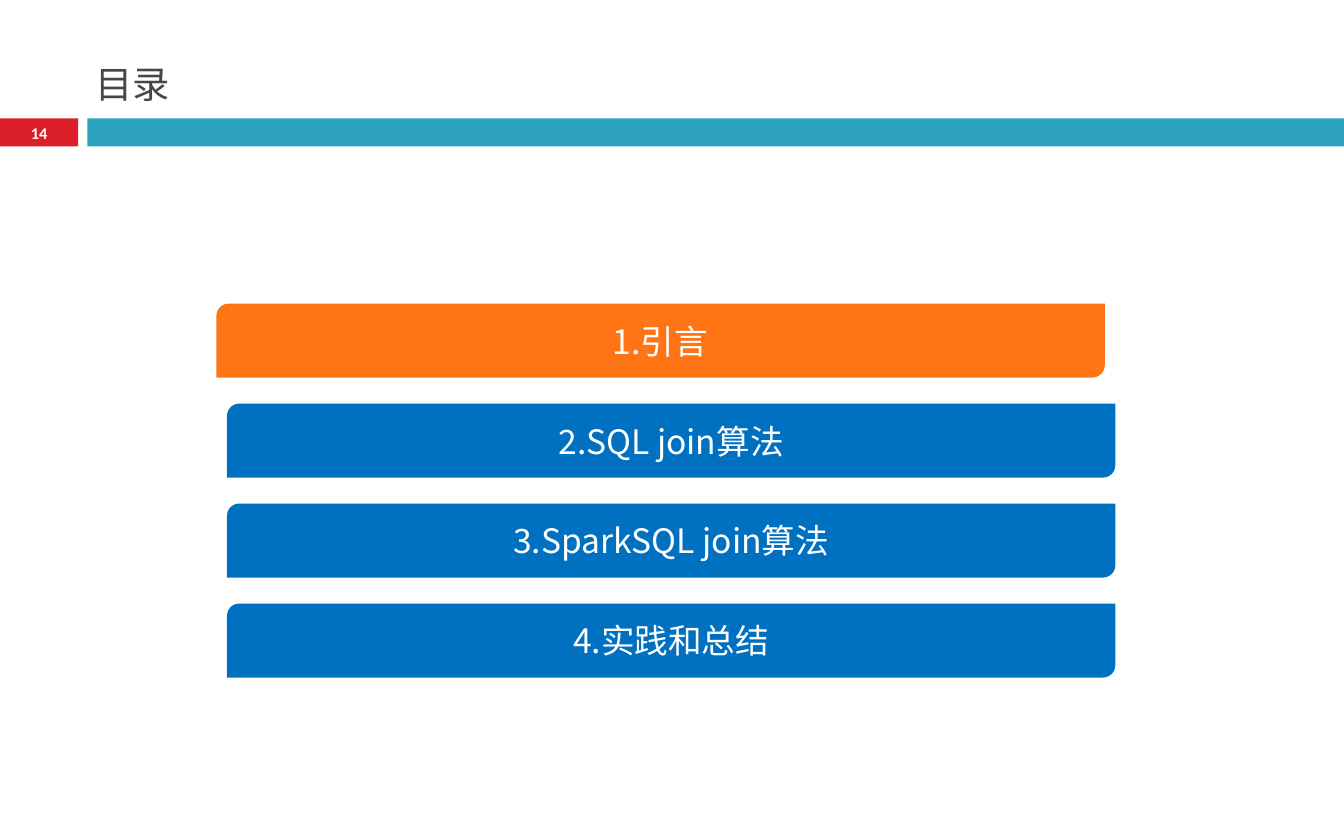
from dataclasses import dataclass

from lxml import etree
from pptx import Presentation
from pptx import util as u
from pptx.dml.color import RGBColor
from pptx.enum import shapes, text
from pptx.oxml import ns

WHITE = RGBColor(0xFF, 0xFF, 0xFF)
RED = RGBColor(0xDA, 0x1F, 0x28)
TEAL = RGBColor(0x2D, 0xA2, 0xBF)
ORANGE = RGBColor(0xFF, 0x74, 0x15)
BLUE = RGBColor(0x00, 0x70, 0xC0)
GREY = RGBColor(0x46, 0x46, 0x46)
CJK_FONT = "Noto Sans CJK SC"

BAND_TOP, BAND_HEIGHT = 2.24, 0.53
CHAPTER_TOP, CHAPTER_PITCH = 5.74, 1.89
CHAPTER_WIDTH, CHAPTER_HEIGHT = 16.79, 1.4


@dataclass(frozen=True)
class Chapter:
    label: str
    left: float = 4.29
    color: RGBColor = BLUE


CHAPTERS = [
    Chapter("1.引言", 4.09, ORANGE),
    Chapter("2.SQL join算法"),
    Chapter("3.SparkSQL join算法"),
    Chapter("4.实践和总结"),
]


def write_text(shape, content: str, *, size: float, color: RGBColor = WHITE,
               font: str = CJK_FONT, bold: bool = False,
               align=text.PP_ALIGN.CENTER,
               anchor=text.MSO_ANCHOR.MIDDLE) -> None:
    frame = shape.text_frame
    frame.word_wrap = True
    frame.vertical_anchor = anchor
    paragraph = frame.paragraphs[0]
    paragraph.alignment = align
    run = paragraph.add_run()
    run.text = content
    run.font.name = font
    run.font.size = u.Pt(size)
    run.font.bold = bold
    run.font.color.rgb = color
    east_asian = etree.SubElement(run.font._element, ns.qn("a:ea"))
    east_asian.set("typeface", font)


def add_block(slide, left: float, top: float, width: float, height: float,
              color: RGBColor, kind=shapes.MSO_SHAPE.RECTANGLE):
    shape = slide.shapes.add_shape(
        kind, u.Cm(left), u.Cm(top), u.Cm(width), u.Cm(height))
    shape.shadow.inherit = False
    shape.fill.solid()
    shape.fill.fore_color.rgb = color
    shape.line.fill.background()
    return shape


def add_chapter(slide, index: int, chapter: Chapter) -> None:
    shape = add_block(slide, chapter.left, CHAPTER_TOP + index * CHAPTER_PITCH,
                      CHAPTER_WIDTH, CHAPTER_HEIGHT, chapter.color,
                      shapes.MSO_SHAPE.ROUND_2_DIAG_RECTANGLE)
    write_text(shape, chapter.label, size=18)


def build() -> None:
    presentation = Presentation()
    presentation.slide_width = u.Cm(25.4)
    presentation.slide_height = u.Cm(15.88)
    slide = presentation.slides.add_slide(presentation.slide_layouts[6])

    number_block = add_block(slide, 0, BAND_TOP, 1.48, BAND_HEIGHT, RED)
    number_block.text_frame.margin_top = number_block.text_frame.margin_bottom = 0
    write_text(number_block, "14", size=8.8, font="Calibri", bold=True)
    add_block(slide, 1.65, BAND_TOP, 23.75, BAND_HEIGHT, TEAL)

    title = slide.shapes.add_textbox(u.Cm(1.55), u.Cm(0.94), u.Cm(14.15), u.Cm(1.19))
    write_text(title, "目录", size=20, color=GREY,
               align=text.PP_ALIGN.LEFT, anchor=text.MSO_ANCHOR.BOTTOM)

    for index, chapter in enumerate(CHAPTERS):
        add_chapter(slide, index, chapter)

    presentation.save("out.pptx")


build()
